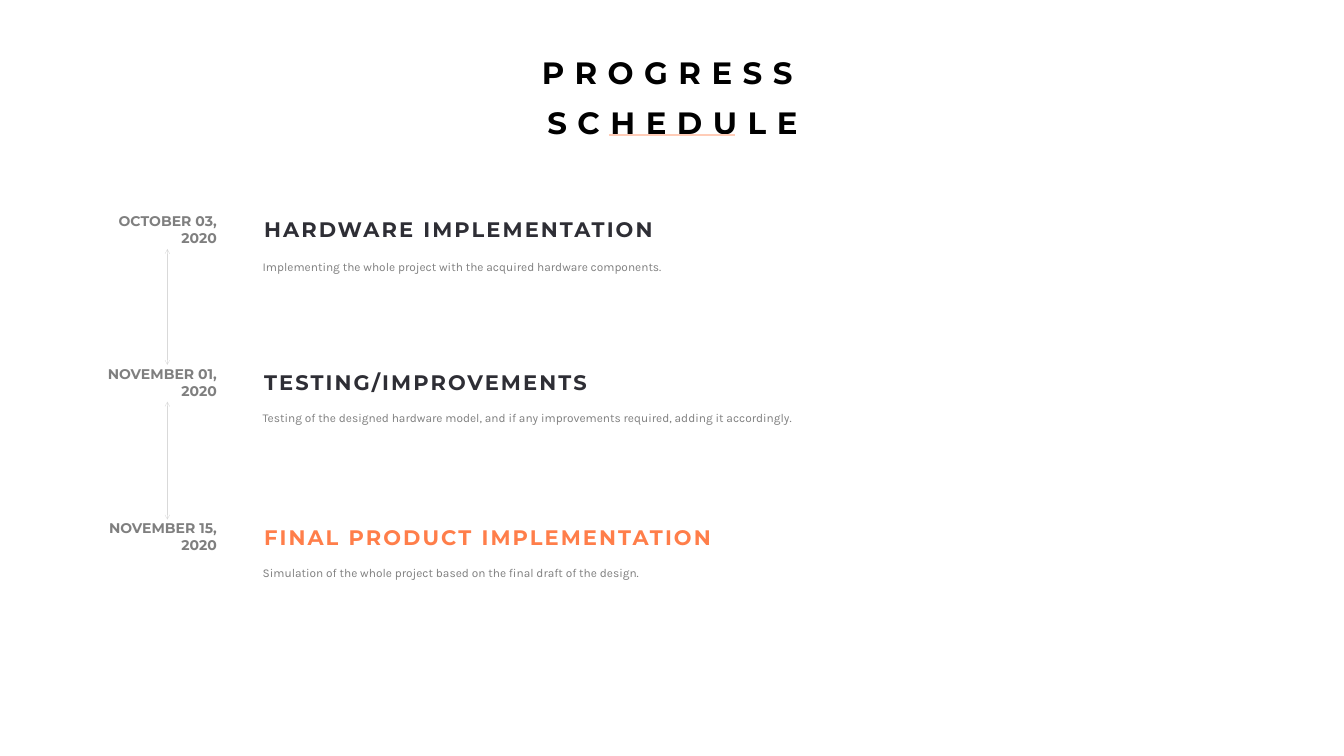
from dataclasses import dataclass
from itertools import pairwise

from lxml import etree
from pptx import Presentation
from pptx import util as u
from pptx.dml.color import RGBColor
from pptx.enum import shapes, text
from pptx.oxml.ns import qn
from pptx.util import Inches

BLACK = RGBColor(0x00, 0x00, 0x00)
CHARCOAL = RGBColor(0x2E, 0x2E, 0x35)
GREY = RGBColor(0x7F, 0x7F, 0x7F)
LIGHT_GREY = RGBColor(0xD9, 0xD9, 0xD9)
ORANGE = RGBColor(0xFF, 0x7E, 0x4A)
PEACH = RGBColor(0xFF, 0xCC, 0xB7)

DATE_RIGHT = 4.4
ARROW_X = 3.32
ALIGN = text.PP_ALIGN


@dataclass(frozen=True)
class Style:
    font: str
    size: float
    color: RGBColor
    bold: bool = True
    align: text.PP_ALIGN = ALIGN.LEFT
    anchor: text.MSO_ANCHOR = text.MSO_ANCHOR.MIDDLE
    tracking: float = 0
    line_spacing: float | u.Length | None = None
    margins: tuple[float, float] = (0.1, 0.05)


@dataclass(frozen=True)
class Milestone:
    top: float
    date: str
    date_width: float
    heading: str
    detail: str
    color: RGBColor = CHARCOAL
    detail_align: text.PP_ALIGN = ALIGN.JUSTIFY
    detail_spacing: float | u.Length = 1.2


MILESTONES = [
    Milestone(4.25, "OCTOBER 03, 2020", 2.36, "HARDWARE IMPLEMENTATION",
              "Implementing the whole project with the acquired hardware components.",
              detail_align=ALIGN.LEFT, detail_spacing=u.Pt(26.5)),
    Milestone(7.28, "NOVEMBER 01, 2020", 2.62, "TESTING/IMPROVEMENTS",
              "Testing of the designed hardware model, and if any improvements "
              "required, adding it accordingly."),
    Milestone(10.35, "NOVEMBER 15, 2020", 2.62, "FINAL PRODUCT IMPLEMENTATION",
              "Simulation of the whole project based on the final draft of the design.",
              color=ORANGE),
]


def add_text(slide, content: str, left: float, top: float, width: float,
             height: float, style: Style) -> None:
    shape = slide.shapes.add_textbox(*map(Inches, (left, top, width, height)))
    frame = shape.text_frame
    frame.word_wrap = True
    frame.vertical_anchor = style.anchor
    horizontal, vertical = map(Inches, style.margins)
    frame.margin_left = frame.margin_right = horizontal
    frame.margin_top = frame.margin_bottom = vertical

    paragraph = frame.paragraphs[0]
    run = paragraph.add_run()
    run.text = content
    paragraph.alignment = style.align
    paragraph.line_spacing = style.line_spacing
    font = paragraph.font
    font.name, font.size, font.bold = style.font, u.Pt(style.size), style.bold
    font.color.rgb = style.color
    if style.tracking:
        run.font._element.set("spc", str(round(style.tracking * 100)))


def add_line(slide, start: tuple[float, float], end: tuple[float, float],
             color: RGBColor, width: float, arrows: bool = False) -> None:
    connector = slide.shapes.add_connector(
        shapes.MSO_CONNECTOR.STRAIGHT, *map(Inches, (*start, *end)))
    connector.line.color.rgb = color
    connector.line.width = u.Pt(width)
    if arrows:
        outline = connector.line._get_or_add_ln()
        for tag in ("a:headEnd", "a:tailEnd"):
            etree.SubElement(outline, qn(tag), type="arrow")
    etree.SubElement(connector._element.spPr, qn("a:effectLst"))


def add_milestone(slide, milestone: Milestone) -> None:
    top = milestone.top
    add_text(slide, milestone.date, DATE_RIGHT - milestone.date_width, top + 0.08,
             milestone.date_width, 0.44,
             Style("Montserrat", 20, GREY, align=ALIGN.RIGHT))
    add_text(slide, milestone.detail, 4.97, top + 0.69, 19.39, 0.56,
             Style("Karla", 17, GREY, bold=False, align=milestone.detail_align,
                   anchor=text.MSO_ANCHOR.TOP, margins=(0.24, 0.12),
                   line_spacing=milestone.detail_spacing))
    add_text(slide, milestone.heading, 5.14, top, 10.03, 0.61,
             Style("Montserrat", 30, milestone.color, tracking=3))


def main() -> None:
    presentation = Presentation()
    presentation.slide_width = Inches(26.66)
    presentation.slide_height = Inches(15)
    slide = presentation.slides.add_slide(presentation.slide_layouts[6])

    # Timeline
    for milestone in MILESTONES:
        add_milestone(slide, milestone)
    for current, following in pairwise(MILESTONES):
        add_line(slide, (ARROW_X, current.top + 0.69), (ARROW_X, following.top - 0.04),
                 LIGHT_GREY, 0.5, arrows=True)

    # Title and its underline
    add_text(slide, "PROGRESS SCHEDULE", 8.7, 1.3, 9.28, 1.01,
             Style("Montserrat", 44, BLACK, align=ALIGN.CENTER, tracking=15,
                   line_spacing=u.Pt(70.6)))
    add_line(slide, (12.08, 2.68), (14.58, 2.68), PEACH, 3)

    presentation.save("out.pptx")


if __name__ == "__main__":
    main()
